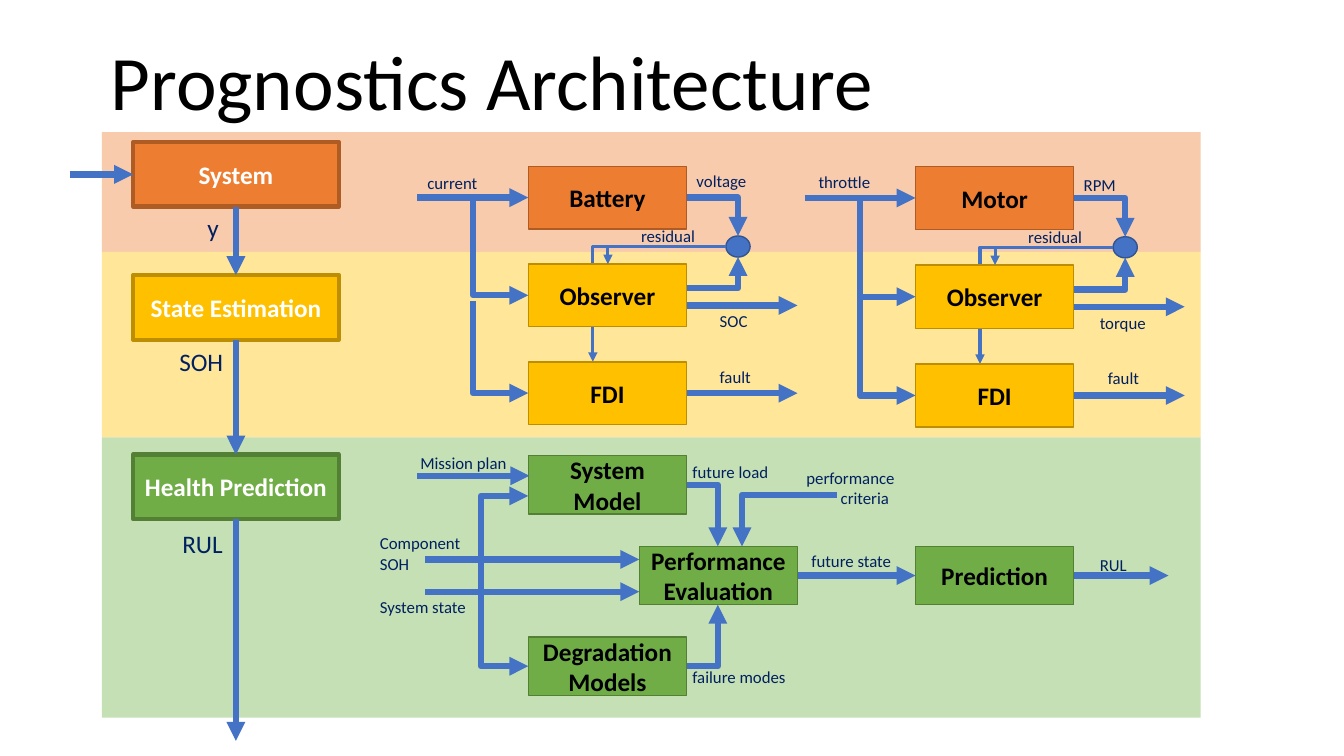
from lxml.etree import SubElement
from pptx import Presentation
from pptx.dml.color import RGBColor
from pptx.enum.shapes import MSO_CONNECTOR as CONN, MSO_SHAPE as SHAPE
from pptx.enum.text import MSO_ANCHOR as ANCHOR, MSO_AUTO_SIZE as FIT, PP_ALIGN as ALIGN
from pptx.oxml.ns import qn
from pptx.util import Inches, Pt

# Content
FONT = "Calibri"
C = {"white": "FFFFFF", "black": "000000", "navy": "002060",
     "blue": "4472C4", "blue_edge": "325491",
     "orange": "ED7D31", "orange_edge": "AF5C24", "orange_band": "F8CBAD",
     "gold": "FFC000", "gold_edge": "BD8E00", "gold_band": "FFE699",
     "green": "70AD47", "green_edge": "538035", "green_band": "C5E0B4"}
TITLE = "Prognostics Architecture"
BANDS = [("orange", 1.31, 2.5), ("gold", 2.5, 4.34), ("green", 4.34, 7.12)]
STAGES = [("System", "orange", 1.41), ("State Estimation", "gold", 2.73),
          ("Health Prediction", "green", 4.51)]
STAGE_LABELS = [("y", 1.96, 2.06), ("SOH", 1.68, 3.39), ("RUL", 1.71, 5.19)]
# Component channels: left of boxes, row pitch, start of the FDI branch, boxes, labels
CHANNELS = [
    (5.24, 0.97, 2.99, ["Battery", "Observer", "FDI"],
     [("current", 4.14, 1.66), ("voltage", 6.81, 1.64), ("SOC", 7.04, 3.03),
      ("residual", 6.26, 2.19), ("fault", 7.04, 3.59)]),
    (9.08, 0.98, 2.91, ["Motor", "Observer", "FDI"],
     [("throttle", 8.02, 1.65), ("RPM", 10.65, 1.68), ("torque", 10.81, 3.05),
      ("residual", 10.1, 2.2), ("fault", 10.89, 3.6)]),
]
HEALTH_BOXES = [("System Model", 5.24, 4.52), ("Degradation Models", 5.24, 6.32),
                ("Performance Evaluation", 6.34, 5.42), ("Prediction", 9.08, 5.42)]
HEALTH_ARROWS = [(4.14, 5.25, 4.72), (4.22, 6.34, 5.55), (4.22, 6.34, 5.87),
                 (7.91, 9.08, 5.71), (10.65, 11.59, 5.71)]  # from x, to x, y
HEALTH_ELBOWS = [(6.81, 4.81, 7.12, 5.42), (6.81, 6.61, 7.12, 6.0),
                 (8.3, 4.91, 7.36, 5.42)]
HEALTH_LABELS = [("Mission plan", 4.07, 4.44), ("Component\nSOH", 3.67, 5.24),
                 ("System state", 3.67, 5.87), ("future load", 6.77, 4.53),
                 ("failure modes", 6.77, 6.57), ("performance", 7.9, 4.59),
                 ("criteria", 8.24, 4.79), ("RUL", 10.81, 5.45),
                 ("future state", 7.95, 5.41)]
BOX_W, STAGE_W, STAGE_H, STAGE_X = 1.57, 2.04, 0.64, 1.32
THICK, THIN = 4.5, 2.25

prs = Presentation()
prs.slide_width, prs.slide_height = Inches(13.33), Inches(7.5)
s = prs.slides.add_slide(prs.slide_layouts[5])


def rgb(name):
    return RGBColor.from_string(C[name])


def write(p, text, size, color, bold=False):
    r = p.add_run()
    r.text = text
    r.font.name, r.font.size, r.font.bold = FONT, Pt(size), bold
    r.font.color.rgb = rgb(color)


def shape(kind, x, y, w, h, fill, edge=None, weight=1):
    sp = s.shapes.add_shape(kind, *map(Inches, (x, y, w, h)))
    sp.shadow.inherit = False
    sp.fill.solid()
    sp.fill.fore_color.rgb = rgb(fill)
    if edge:
        sp.line.color.rgb, sp.line.width = rgb(edge), Pt(weight)
    else:
        sp.line.fill.background()
    return sp


def box(text, hue, x, y, w, h, weight=1, color="black"):
    sp = shape(SHAPE.RECTANGLE, x, y, w, h, hue, hue + "_edge", weight)
    tf = sp.text_frame
    tf.word_wrap, tf.vertical_anchor = True, ANCHOR.MIDDLE
    tf.paragraphs[0].alignment = ALIGN.CENTER
    write(tf.paragraphs[0], text, 18, color, True)


def label(text, x, y, size=12):
    lines = text.split("\n")
    tf = s.shapes.add_textbox(*map(Inches, (x, y, 1.33 if size == 12 else 0.7,
                                            0.1 + len(lines) * size / 60))).text_frame
    tf.word_wrap = True
    for i, line in enumerate(lines):
        write(tf.add_paragraph() if i else tf.paragraphs[0], line, size, "navy")


def arrow(x1, y1, x2, y2, weight=THICK, end="tailEnd"):
    """Straight, or an elbow that runs level from the first point, then upright."""
    elbow = x1 != x2 and y1 != y2
    cn = s.shapes.add_connector(CONN.ELBOW if elbow else CONN.STRAIGHT,
                                *map(Inches, (x1, y1, x2, y2)))
    cn.line.color.rgb, cn.line.width = rgb("blue"), Pt(weight)
    spPr = cn._element.spPr
    if elbow:
        spPr.find(qn("a:prstGeom")).set("prst", "bentConnector2")
    SubElement(spPr.find(qn("a:ln")), qn("a:" + end), type="triangle")
    SubElement(spPr, qn("a:effectLst"))


# Title
title = s.shapes.title
title.left, title.top, title.width, title.height = map(Inches, (1, 0.28, 12.33, 1.03))
tf = title.text_frame
tf.auto_size, tf.word_wrap, tf.vertical_anchor = FIT.NONE, True, ANCHOR.TOP
tf.paragraphs[0].alignment = ALIGN.LEFT
write(tf.paragraphs[0], TITLE, 55, "black")

# Bands
for hue, top, bottom in BANDS:
    shape(SHAPE.RECTANGLE, 1.01, top, 10.9, bottom - top, hue + "_band")

# Stages down the left side
for text, hue, y in STAGES:
    box(text, hue, STAGE_X, y, STAGE_W, STAGE_H, 3, "white")
arrow(0.69, 1.73, STAGE_X, 1.73)
stage_mid = STAGE_X + STAGE_W / 2
stops = [y for _, _, y in STAGES[1:]] + [7.35]
for (_, _, y), stop in zip(STAGES, stops):
    arrow(stage_mid, y + STAGE_H, stage_mid, stop)
for text, x, y in STAGE_LABELS:
    label(text, x, y, 18)

# Component channels
for x, pitch, branch, names, labels in CHANNELS:
    h = 0.64 * pitch
    tops = [1.65 + i * pitch for i in range(3)]
    source, observer, fdi = (t + h / 2 for t in tops)
    right, trunk = x + BOX_W, x - 0.55
    node_x, node_y = right + 0.51, source + pitch / 2
    rx, ry = 0.12, 0.105
    arrow(node_x - rx, node_y, x + 0.64, tops[2], THIN)
    for text, hue, top in zip(names, ("orange", "gold", "gold"), tops):
        box(text, hue, x, top, BOX_W, h)
    shape(SHAPE.OVAL, node_x - rx, node_y - ry, 2 * rx, 2 * ry, "blue", "blue_edge")
    arrow(x - 1.1, source, x, source)
    arrow(x, observer, trunk, source, end="headEnd")
    arrow(x, fdi, trunk, branch, end="headEnd")
    arrow(right, source, node_x, node_y - ry)
    arrow(right, observer - 0.07, node_x, node_y + ry)
    arrow(node_x - rx, node_y, x + 0.79, tops[1], THIN)
    for y in (observer + 0.1, fdi):
        arrow(right, y, right + 1.1, y)
    for item in labels:
        label(*item)

# Health prediction flow
for text, x, y in HEALTH_BOXES:
    box(text, "green", x, y, BOX_W, 0.58)
for x1, x2, y in HEALTH_ARROWS:
    arrow(x1, y, x2, y)
for elbow in HEALTH_ELBOWS:
    arrow(*elbow)
for y in (4.92, 6.61):
    arrow(5.24, y, 4.77, 5.77, end="headEnd")
for item in HEALTH_LABELS:
    label(*item)

prs.save("out.pptx")
